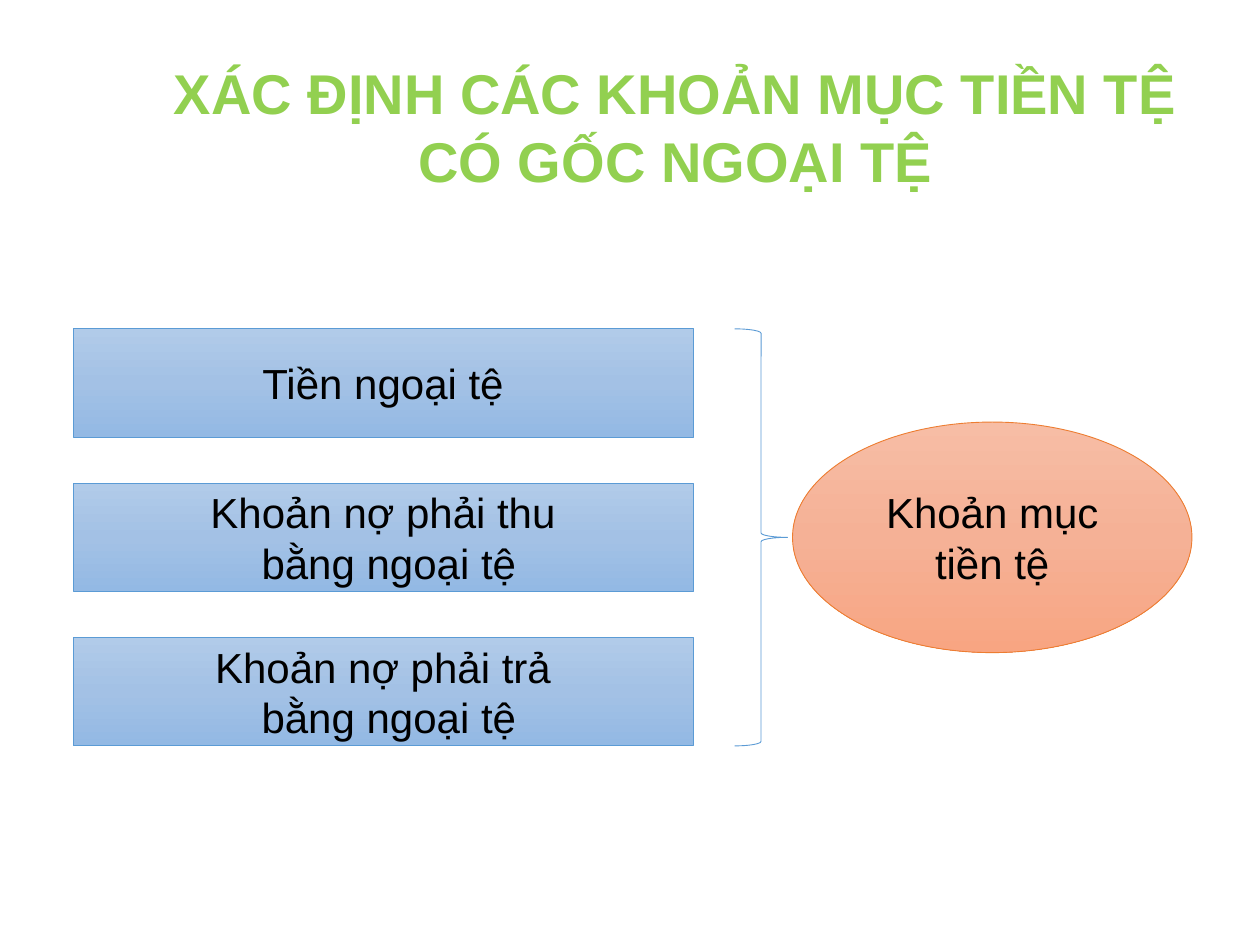
from copy import deepcopy

from pptx import Presentation
from pptx.dml.color import RGBColor
from pptx.enum.shapes import MSO_SHAPE
from pptx.enum.text import MSO_ANCHOR, PP_ALIGN
from pptx.oxml.ns import qn
from pptx.util import Inches, Pt

RECTANGLE, OVAL, BRACE = MSO_SHAPE.RECTANGLE, MSO_SHAPE.OVAL, MSO_SHAPE.RIGHT_BRACE
MIDDLE = MSO_ANCHOR.MIDDLE
CENTER = PP_ALIGN.CENTER

TITLE = "XÁC ĐỊNH CÁC KHOẢN MỤC TIỀN TỆ CÓ GỐC NGOẠI TỆ"
ITEMS = [
    "Tiền ngoại tệ",
    "Khoản nợ phải thu\n bằng ngoại tệ",
    "Khoản nợ phải trả\n bằng ngoại tệ",
]
CATEGORY = "Khoản mục tiền tệ"

THEME = {
    "font": "Arial",
    "title_size": 32,
    "body_size": 24,
    "title": "92D050",
    "body": "000000",
    "line_width": 0.5,
    "item": {"line": "5B9BD5", "stops": ["B1CBE9", "A3C1E5", "93B9E4"]},
    "category": {"line": "ED7D31", "stops": ["F7BDA5", "F5B196", "F8A582"]},
}

ITEM_LEFT, ITEM_TOP, ITEM_WIDTH, ITEM_HEIGHT = 0.58, 2.61, 4.92, 0.86
ITEM_PITCH = 1.225
STACK_HEIGHT = ITEM_PITCH * (len(ITEMS) - 1) + ITEM_HEIGHT
CATEGORY_HEIGHT = 1.83
CATEGORY_TOP = ITEM_TOP + (STACK_HEIGHT - CATEGORY_HEIGHT) / 2


def write(holder, text, size, color, bold=False):
    """Put centred text in a shape and format its runs."""
    frame = holder.text_frame
    frame.text = text
    frame.word_wrap = True
    frame.vertical_anchor = MIDDLE
    for paragraph in frame.paragraphs:
        paragraph.alignment = CENTER
        for run in paragraph.runs:
            run.font.name = THEME["font"]
            run.font.size = Pt(size)
            run.font.bold = bold
            run.font.color.rgb = RGBColor.from_string(color)


def add_outlined(slide, kind, box, line):
    """Add a shadowless shape with a thin outline."""
    shape = slide.shapes.add_shape(kind, *map(Inches, box))
    shape.shadow.inherit = False
    shape.line.color.rgb = RGBColor.from_string(line)
    shape.line.width = Pt(THEME["line_width"])
    return shape


def add_node(slide, kind, box, text, style):
    """Add a labelled shape with a top-to-bottom gradient."""
    node = add_outlined(slide, kind, box, style["line"])
    node.fill.gradient()
    node.fill.gradient_angle = 270
    stop_list = node._element.spPr.find(qn("a:gradFill")).find(qn("a:gsLst"))
    stop_list.append(deepcopy(stop_list[0]))
    for index, (stop, color) in enumerate(zip(node.fill.gradient_stops, style["stops"])):
        stop.position = index / (len(style["stops"]) - 1)
        stop.color.rgb = RGBColor.from_string(color)
    write(node, text, THEME["body_size"], THEME["body"])


def main():
    """Build and save the slide."""
    deck = Presentation()
    deck.slide_width, deck.slide_height = Inches(10), Inches(7.5)
    slide = deck.slides.add_slide(deck.slide_layouts[6])

    title = slide.shapes.add_textbox(*map(Inches, (0.99, 0.41, 8.74, 1.18)))
    write(title, TITLE, THEME["title_size"], THEME["title"], bold=True)

    for index, item in enumerate(ITEMS):
        box = (ITEM_LEFT, ITEM_TOP + index * ITEM_PITCH, ITEM_WIDTH, ITEM_HEIGHT)
        add_node(slide, RECTANGLE, box, item, THEME["item"])

    brace = add_outlined(slide, BRACE, (5.83, ITEM_TOP, 0.42, STACK_HEIGHT), THEME["item"]["line"])
    brace.fill.background()

    category_box = (6.29, CATEGORY_TOP, 3.17, CATEGORY_HEIGHT)
    add_node(slide, OVAL, category_box, CATEGORY, THEME["category"])

    deck.save("out.pptx")


if __name__ == "__main__":
    main()
